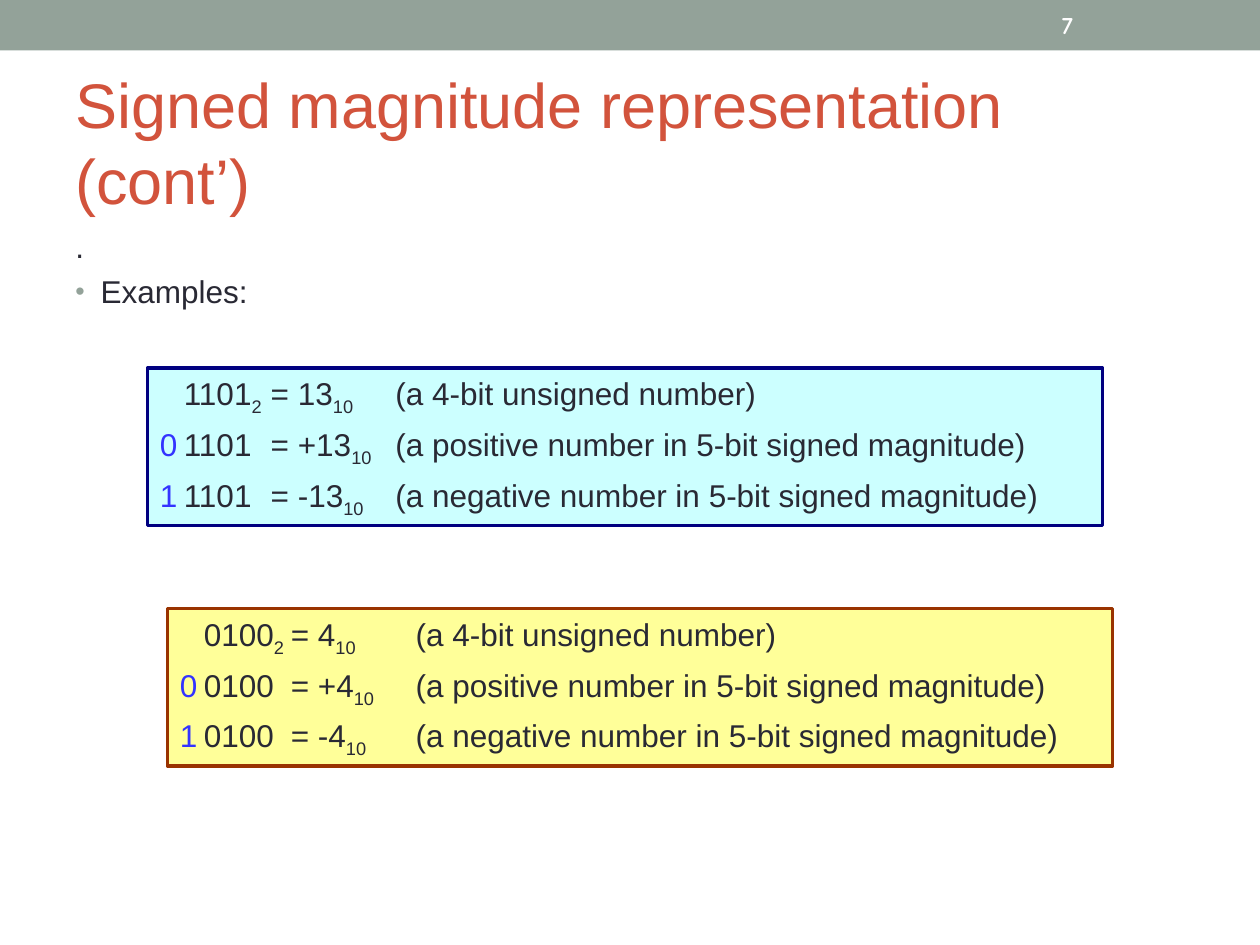
import pptx
import pptx.dml.color
import pptx.enum.shapes
import pptx.enum.text
import pptx.oxml.ns
import pptx.util
from lxml import etree

Inches = pptx.util.Inches
Pt = pptx.util.Pt

COLORS = {
    "band": "93A299",
    "title": "D2533C",
    "text": "292934",
    "sign": "3333FF",
    "white": "FFFFFF",
    "cyan": "CCFFFF",
    "navy": "000080",
    "yellow": "FFFF99",
    "brown": "993300",
}


def rgb(name):
    return pptx.dml.color.RGBColor.from_string(COLORS[name])


def add_element(parent, tag, **attributes):
    return etree.SubElement(parent, pptx.oxml.ns.qn(tag), attributes)


class SlideBuilder:
    font_name = "Arial"
    text_size = 18
    paragraph_gap = 4.5
    tab_stops = (0.19, 0.88, 1.87)

    def __init__(self, slide):
        self.slide = slide

    def style_run(self, run, color="text", size=None, font_name=None, bold=False):
        run.font.name = font_name or self.font_name
        run.font.size = Pt(size or self.text_size)
        run.font.bold = bold
        run.font.color.rgb = rgb(color)

    def rectangle(self, left, top, width, height, fill, line=None):
        shape = self.slide.shapes.add_shape(
            pptx.enum.shapes.MSO_SHAPE.RECTANGLE,
            Inches(left), Inches(top), Inches(width), Inches(height))
        shape.shadow.inherit = False
        shape.fill.solid()
        shape.fill.fore_color.rgb = rgb(fill)
        if line:
            shape.line.color.rgb = rgb(line)
            shape.line.width = Pt(2)
        else:
            shape.line.fill.background()
        return shape

    def text_box(self, left, top, width, height, lines, middle=False, **style):
        box = self.slide.shapes.add_textbox(
            Inches(left), Inches(top), Inches(width), Inches(height))
        frame = box.text_frame
        frame.word_wrap = True
        if middle:
            frame.vertical_anchor = pptx.enum.text.MSO_ANCHOR.MIDDLE
        frame.text = "\n".join(lines)
        for paragraph in frame.paragraphs:
            self.style_run(paragraph.runs[0], **style)
        return frame.paragraphs

    def bullet(self, paragraph):
        properties = paragraph._p.get_or_add_pPr()
        properties.set("marL", str(Inches(0.2)))
        properties.set("indent", str(-Inches(0.2)))
        color = add_element(properties, "a:buClr")
        add_element(color, "a:srgbClr", val=COLORS["band"])
        add_element(properties, "a:buSzPct", val="85000")
        add_element(properties, "a:buFont", typeface="Arial")
        add_element(properties, "a:buChar", char="•")
        paragraph.space_before = Pt(self.paragraph_gap)

    def example_box(self, left, top, width, fill, line, bits, value):
        frame = self.rectangle(left, top, width, 1.25, fill, line).text_frame
        frame.word_wrap = True
        frame.vertical_anchor = pptx.enum.text.MSO_ANCHOR.TOP
        rows = (
            ("", "2", "", "a 4-bit unsigned number"),
            ("0", "", "+", "a positive number in 5-bit signed magnitude"),
            ("1", "", "-", "a negative number in 5-bit signed magnitude"),
        )
        for index, (sign_bit, base, sign, note) in enumerate(rows):
            paragraph = frame.add_paragraph() if index else frame.paragraphs[0]
            paragraph.alignment = pptx.enum.text.PP_ALIGN.LEFT
            tabs = add_element(paragraph._p.get_or_add_pPr(), "a:tabLst")
            for stop in self.tab_stops:
                add_element(tabs, "a:tab", pos=str(Inches(stop)), algn="l")
            if index:
                paragraph.space_before = Pt(self.paragraph_gap)
            # Each piece: text, colour, subscript
            pieces = (
                (sign_bit + "\t", "sign", False),
                (bits, "text", False),
                (base + "\t", "text", True),
                (f"= {sign}{value}", "text", False),
                ("10\t", "text", True),
                (f"({note})", "text", False),
            )
            for text, color, subscript in pieces:
                run = paragraph.add_run()
                run.text = text
                self.style_run(run, color)
                if subscript:
                    run.font._element.set("baseline", "-25000")


def main():
    presentation = pptx.Presentation()
    presentation.slide_width = Inches(10)
    presentation.slide_height = Inches(7.5)
    slide = presentation.slides.add_slide(presentation.slide_layouts[6])
    builder = SlideBuilder(slide)

    # Top band, title and slide number
    builder.rectangle(0, 0, 10, 0.4, "band")
    builder.text_box(0.5, 0.58, 9, 1.08, ["Signed magnitude representation (cont’)"],
                     middle=True, color="title", size=36)
    builder.text_box(8.33, 0.02, 1.17, 0.36, ["7"], middle=True,
                     color="white", size=14, font_name="Comic Neue", bold=True)

    # Body text
    body = builder.text_box(0.5, 1.75, 9, 5.33, [".", "Examples:"])
    builder.bullet(body[1])

    # Worked examples
    builder.example_box(1.17, 2.92, 7.58, "cyan", "navy", "1101", 13)
    builder.example_box(1.33, 4.83, 7.5, "yellow", "brown", "0100", 4)

    presentation.save("out.pptx")


if __name__ == "__main__":
    main()
